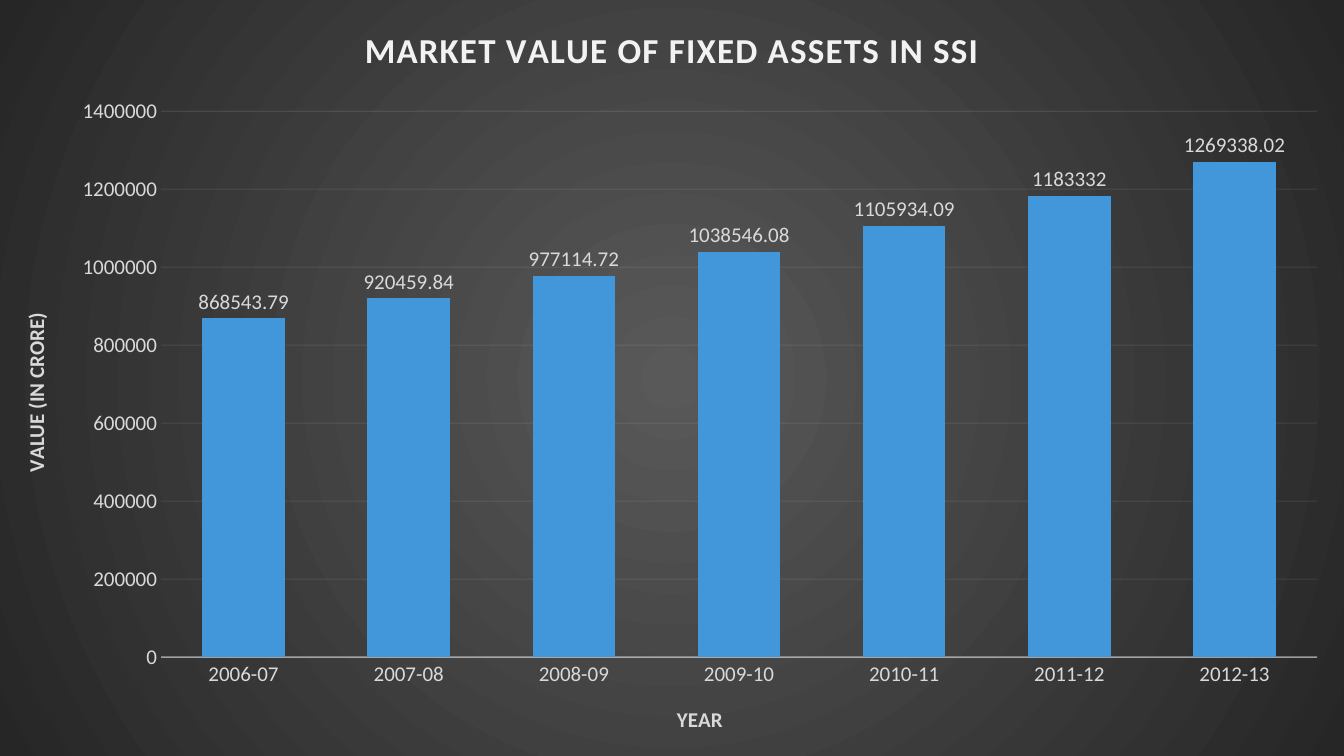
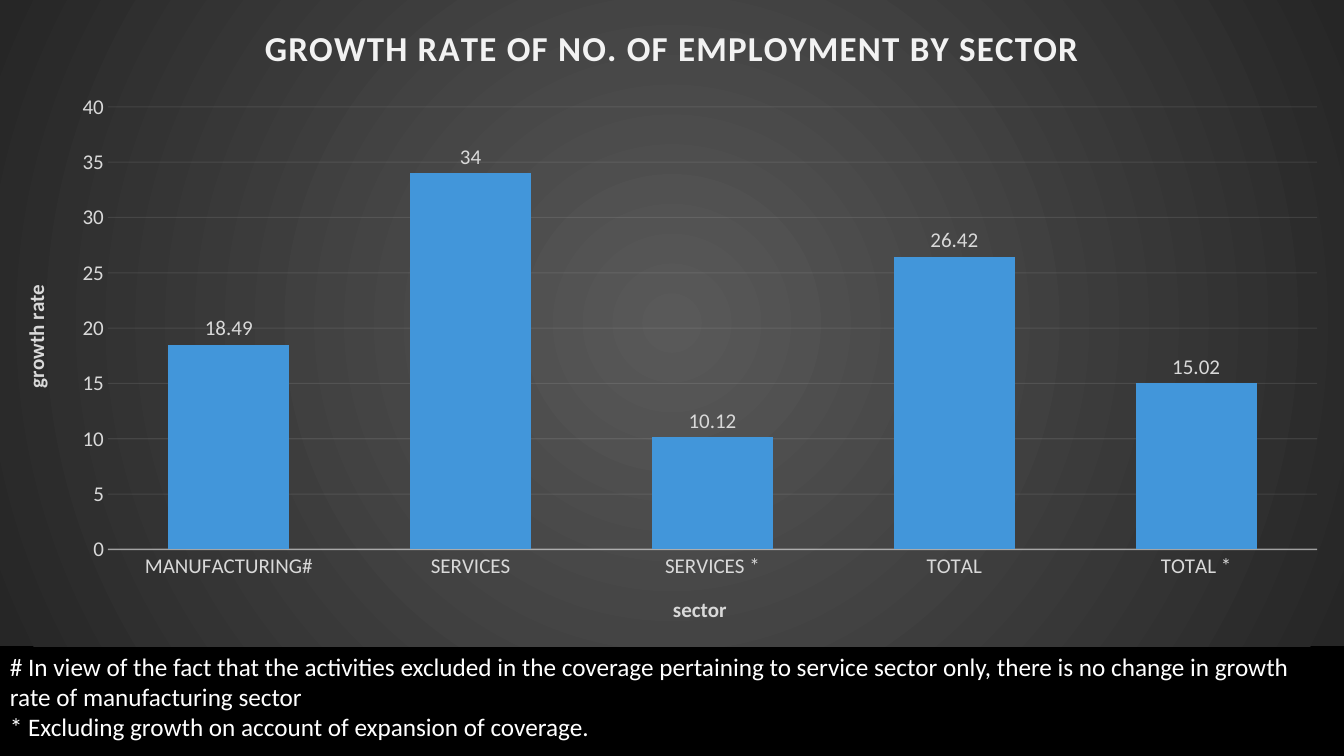
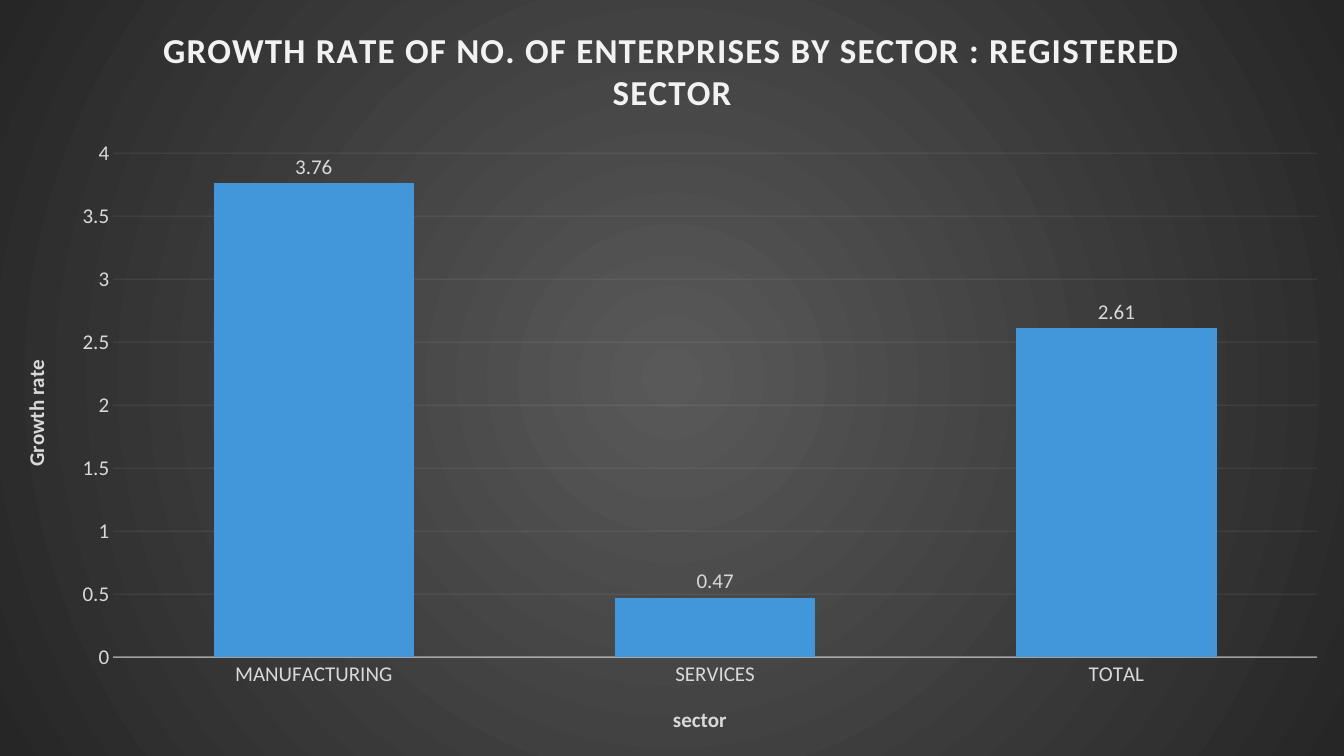
"""Build three dark column chart slides on growth of small industry."""
from lxml.etree import SubElement
from pptx import Presentation
from pptx.chart.data import CategoryChartData as Data
from pptx.dml.color import RGBColor as Rgb
from pptx.enum.chart import XL_CHART_TYPE as Kind, XL_LABEL_POSITION as Spot, XL_TICK_MARK as Tick
from pptx.enum.text import MSO_AUTO_SIZE as Fit
from pptx.oxml import parse_xml
from pptx.oxml.ns import nsdecls, qn
from pptx.util import Pt

HUES = {"back": "000000", "core": "595959", "rim": "262626", "bar": "4296DA",
        "note": "FFFFFF", "head": "F2F2F2", "label": "D9D9D9", "rule": "F2F2F2"}
FACE = "Calibri"
WIDE, HIGH = 960, 540
SPLIT = 461.5


def hue(name):
    return Rgb.from_string(HUES[name])


def style(font, size, tone, bold=False):
    font.name = FACE
    font.size = Pt(size)
    font.bold = bold
    font.color.rgb = hue(tone)


def write(frame, *lines, size=15, tone="label", bold=False, space=0):
    for index, line in enumerate(lines):
        para = frame.add_paragraph() if index else frame.paragraphs[0]
        run = para.add_run()
        run.text = line
        style(run.font, size, tone, bold)
        if space:
            run.font._element.set("spc", str(space))


def stroke(line, width, alpha):
    line.width = Pt(width)
    line.color.rgb = hue("rule")
    tint = line._get_or_add_ln().find(".//" + qn("a:srgbClr"))
    SubElement(tint, qn("a:alpha")).set("val", str(alpha * 1000))


def glow(chart):
    chart._chartSpace.chart.addnext(parse_xml(
        f'<c:spPr {nsdecls("c", "a")}><a:gradFill><a:gsLst>'
        f'<a:gs pos="0"><a:srgbClr val="{HUES["core"]}"/></a:gs>'
        f'<a:gs pos="100000"><a:srgbClr val="{HUES["rim"]}"/></a:gs>'
        '</a:gsLst><a:path path="circle">'
        '<a:fillToRect l="50000" t="50000" r="50000" b="50000"/></a:path>'
        '</a:gradFill><a:ln><a:noFill/></a:ln></c:spPr>'))


def set_axis(axis, title):
    axis.major_tick_mark = axis.minor_tick_mark = Tick.NONE
    style(axis.tick_labels.font, 15, "label")
    write(axis.axis_title.text_frame, title, bold=True)


def add_bars(slide, title, across, upward, values, high=HIGH):
    data = Data()
    data.categories = list(values)
    data.add_series("Series 1", list(values.values()))
    chart = slide.shapes.add_chart(Kind.COLUMN_CLUSTERED, 0, 0, Pt(WIDE), Pt(high), data).chart
    style(chart.font, 10, "note")
    glow(chart)
    chart.has_legend = False
    write(chart.chart_title.text_frame, title, size=25, tone="head", bold=True, space=100)

    base, scale = chart.category_axis, chart.value_axis
    set_axis(base, across)
    stroke(base.format.line, 1, 54)
    set_axis(scale, upward)
    scale.axis_title.text_frame._txBody.bodyPr.set("rot", "-5400000")
    scale.format.line.fill.background()
    stroke(scale.major_gridlines.format.line, 0.75, 10)

    plot = chart.plots[0]
    plot.gap_width = 100
    plot.overlap = -24
    plot.vary_by_categories = False
    fill = plot.series[0].format.fill
    fill.solid()
    fill.fore_color.rgb = hue("bar")
    plot.has_data_labels = True
    labels = plot.data_labels
    labels.show_value = True
    labels.position = Spot.OUTSIDE_END
    style(labels.font, 15, "label")


def add_note(slide, *lines):
    frame = slide.shapes.add_textbox(0, Pt(SPLIT), Pt(WIDE), Pt(72.7)).text_frame
    frame.word_wrap = True
    frame.auto_size = Fit.SHAPE_TO_FIT_TEXT
    write(frame, *lines, size=18, tone="note")


def add_page(deck):
    slide = deck.slides.add_slide(deck.slide_layouts[6])
    fill = slide.background.fill
    fill.solid()
    fill.fore_color.rgb = hue("back")
    return slide


def main():
    deck = Presentation()
    deck.slide_width, deck.slide_height = Pt(WIDE), Pt(HIGH)

    add_bars(add_page(deck), "MARKET VALUE OF FIXED ASSETS IN SSI", "YEAR", "VALUE (IN CRORE)",
             {"2006-07": 868543.79, "2007-08": 920459.84, "2008-09": 977114.72,
              "2009-10": 1038546.08, "2010-11": 1105934.09, "2011-12": 1183332,
              "2012-13": 1269338.02})

    slide = add_page(deck)
    add_bars(slide, "GROWTH RATE OF NO. OF EMPLOYMENT BY SECTOR", "sector", "growth rate",
             {"MANUFACTURING#": 18.49, "SERVICES": 34, "SERVICES *": 10.12,
              "TOTAL": 26.42, "TOTAL *": 15.02}, high=SPLIT)
    add_note(slide,
             "# In view of the fact that the activities excluded in the coverage pertaining to "
             "service sector only, there is no change in growth rate of manufacturing sector",
             "* Excluding growth on account of expansion of coverage.")

    add_bars(add_page(deck), "GROWTH RATE OF NO. OF ENTERPRISES BY SECTOR : REGISTERED SECTOR",
             "sector", "Growth rate", {"MANUFACTURING": 3.76, "SERVICES": 0.47, "TOTAL": 2.61})

    deck.save("out.pptx")


if __name__ == "__main__":
    main()
